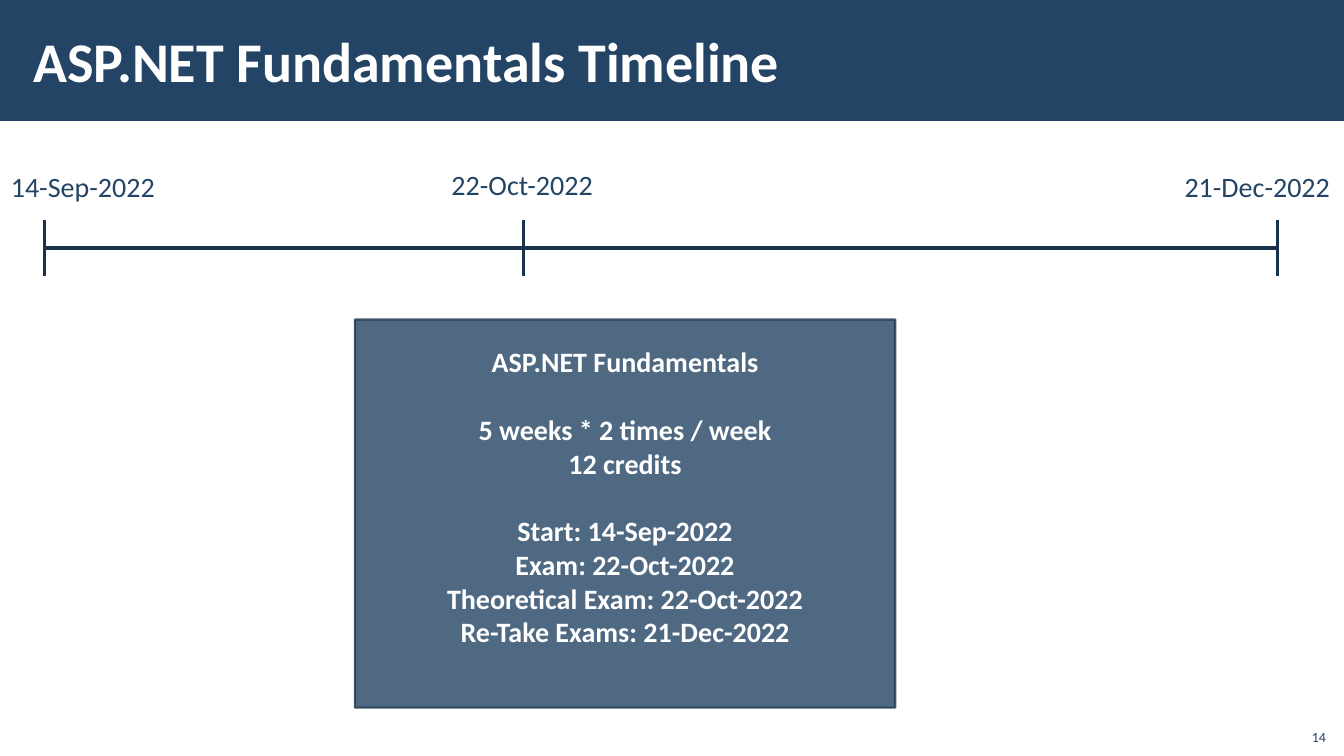
from dataclasses import dataclass

from lxml import etree
from pptx import Presentation
from pptx.dml.color import RGBColor
from pptx.enum import shapes, text
from pptx.oxml.ns import qn
from pptx.util import Inches, Pt

# Content
TITLE = "ASP.NET Fundamentals Timeline"
SLIDE_NUMBER = "14"
# date, tick x, label left, label top, label width
MILESTONES = [
    ("14-Sep-2022", 0.44, 0.01, 1.63, 1.64),
    ("22-Oct-2022", 5.19, 4.38, 1.61, 1.63),
    ("21-Dec-2022", 12.67, 11.65, 1.63, 1.66),
]
COURSE_GROUPS = [
    ["ASP.NET Fundamentals"],
    ["5 weeks * 2 times / week", "12 credits"],
    ["Start: 14-Sep-2022", "Exam: 22-Oct-2022",
     "Theoretical Exam: 22-Oct-2022", "Re-Take Exams: 21-Dec-2022"],
]


@dataclass(frozen=True)
class Theme:
    font: str = "Calibri"
    navy: RGBColor = RGBColor(0x23, 0x44, 0x65)
    dark: RGBColor = RGBColor(0x1A, 0x33, 0x4C)
    white: RGBColor = RGBColor(0xFF, 0xFF, 0xFF)
    title_size: int = 40
    text_size: int = 20
    number_size: int = 10
    axis_width: float = 2.25
    box_opacity: int = 80


THEME = Theme()
AXIS_Y, TICK_HALF = 2.46, 0.28
LINE_PITCH = 24.4  # points, one line of text at text_size


def style_paragraph(paragraph, size, color, bold=False, align=text.PP_ALIGN.LEFT):
    paragraph.alignment = align
    for run in paragraph.runs:
        run.font.name = THEME.font
        run.font.size = Pt(size)
        run.font.bold = bold
        run.font.color.rgb = color


def add_box(slide, left, top, width, height):
    shape = slide.shapes.add_shape(
        shapes.MSO_SHAPE.RECTANGLE, *map(Inches, (left, top, width, height)))
    shape.shadow.inherit = False
    shape.fill.solid()
    shape.fill.fore_color.rgb = THEME.navy
    return shape


def add_label(slide, wording, left, top, width, height, size, **style):
    label = slide.shapes.add_textbox(*map(Inches, (left, top, width, height)))
    label.text_frame.text = wording
    style_paragraph(label.text_frame.paragraphs[0], size, THEME.navy, **style)
    return label.text_frame


def add_line(slide, x1, y1, x2, y2):
    line = slide.shapes.add_connector(
        shapes.MSO_CONNECTOR.STRAIGHT, *map(Inches, (x1, y1, x2, y2)))
    line.line.color.rgb = THEME.dark
    line.line.width = Pt(THEME.axis_width)
    etree.SubElement(line.element.spPr, qn("a:effectLst"))


def add_header(slide):
    title = slide.shapes.title
    band = add_box(slide, 0, 0, 13.34, 1.2)
    band.line.fill.background()
    title.element.addprevious(band.element)  # the band lies behind the title
    title.left, title.top, title.width, title.height = map(
        Inches, (0.21, 0.11, 10.63, 0.97))
    frame = title.text_frame
    frame.text = TITLE
    frame.auto_size = text.MSO_AUTO_SIZE.NONE
    frame.vertical_anchor = text.MSO_ANCHOR.MIDDLE
    frame.margin_left = frame.margin_right = Inches(0.12)
    frame.margin_top = frame.margin_bottom = Inches(0.04)
    style_paragraph(frame.paragraphs[0], THEME.title_size, THEME.white, bold=True)


def add_course_box(slide):
    box = add_box(slide, 3.52, 3.17, 5.36, 3.85)
    box.line.color.rgb = THEME.dark
    box.line.width = Pt(1.5)
    for color in box.element.spPr.iter(qn("a:srgbClr")):
        etree.SubElement(color, qn("a:alpha"), val=str(THEME.box_opacity * 1000))

    frame = box.text_frame
    frame.word_wrap = True
    frame.vertical_anchor = text.MSO_ANCHOR.MIDDLE
    frame.margin_bottom = Inches(0.05) + Pt(LINE_PITCH)
    frame.text = "\n".join(line for group in COURSE_GROUPS for line in group)
    group_starts = {group[0] for group in COURSE_GROUPS[1:]}
    for paragraph in frame.paragraphs:
        style_paragraph(paragraph, THEME.text_size, THEME.white, bold=True,
                        align=text.PP_ALIGN.CENTER)
        if paragraph.text in group_starts:
            paragraph.space_before = Pt(LINE_PITCH)


def add_timeline(slide):
    add_line(slide, MILESTONES[0][1], AXIS_Y, MILESTONES[-1][1], AXIS_Y)
    for date, tick_x, left, top, width in MILESTONES:
        add_line(slide, tick_x, AXIS_Y - TICK_HALF, tick_x, AXIS_Y + TICK_HALF)
        frame = add_label(slide, date, left, top, width, 0.44, THEME.text_size)
        frame.word_wrap = False
        frame.auto_size = text.MSO_AUTO_SIZE.SHAPE_TO_FIT_TEXT


def add_slide_number(slide):
    frame = add_label(slide, SLIDE_NUMBER, 12.85, 7.12, 0.4, 0.32,
                      THEME.number_size, align=text.PP_ALIGN.RIGHT)
    frame.word_wrap = True
    frame.vertical_anchor = text.MSO_ANCHOR.BOTTOM


def main():
    presentation = Presentation()
    presentation.slide_width = Inches(13.33)
    presentation.slide_height = Inches(7.5)
    title_only = presentation.slide_layouts[5]
    slide = presentation.slides.add_slide(title_only)
    add_header(slide)
    add_course_box(slide)
    add_timeline(slide)
    add_slide_number(slide)
    presentation.save("out.pptx")


if __name__ == "__main__":
    main()
